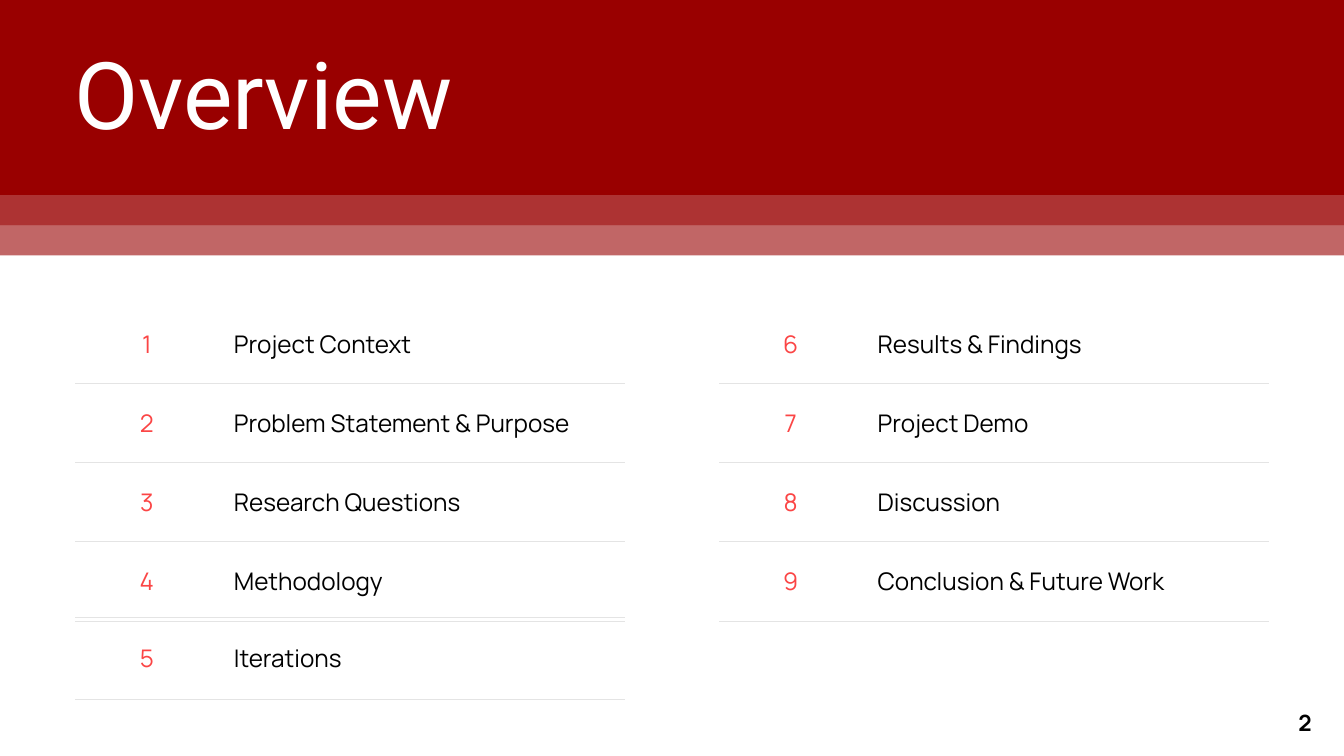
from lxml import etree
from pptx import Presentation
from pptx.dml.color import RGBColor
from pptx.enum.shapes import MSO_SHAPE
from pptx.enum.text import MSO_ANCHOR, PP_ALIGN
from pptx.oxml.ns import qn
from pptx.util import Inches, Pt

RECTANGLE = MSO_SHAPE.RECTANGLE
MIDDLE = MSO_ANCHOR.MIDDLE
LEFT, CENTER = PP_ALIGN.LEFT, PP_ALIGN.CENTER


def color(hex_string):
    return RGBColor.from_string(hex_string)


def write(frame, text, font, size, hex_string, align, spacing, bold=False):
    frame.text = text
    paragraph = frame.paragraphs[0]
    paragraph.alignment = align
    paragraph.line_spacing = Pt(spacing)
    for run in paragraph.runs:
        run.font.name = font
        run.font.size = Pt(size)
        run.font.bold = bold
        run.font.color.rgb = color(hex_string)


prs = Presentation()
prs.slide_width, prs.slide_height = Inches(20), Inches(11.25)
slide = prs.slides.add_slide(prs.slide_layouts[6])

for top, height, opacity in [(0, 2.9, 100), (2.9, 0.45, 80), (3.35, 0.45, 60)]:
    band = slide.shapes.add_shape(RECTANGLE, 0, Inches(top), Inches(20), Inches(height))
    band.shadow.inherit = False
    band.line.fill.background()
    band.fill.solid()
    band.fill.fore_color.rgb = color("990000")
    if opacity < 100:
        srgb = band.fill._xPr.find(".//" + qn("a:srgbClr"))
        etree.SubElement(srgb, qn("a:alpha"), val=str(opacity * 1000))

title = slide.shapes.add_textbox(0, Inches(0.82), Inches(7.84), Inches(1.45)).text_frame
title.margin_left = title.margin_right = title.margin_top = title.margin_bottom = 0
title.word_wrap = True
write(title, "Overview", "Roboto", 100, "FFFFFF", CENTER, 100)

agenda = [
    (1.12, 4.52, 1.18, False, [
        ("1", "Project Context"),
        ("2", "Problem Statement & Purpose"),
        ("3", "Research Questions"),
        ("4", "Methodology"),
        ("", ""),
    ]),
    (10.7, 4.52, 1.18, False, [
        ("6", "Results & Findings"),
        ("7", "Project Demo"),
        ("8", "Discussion"),
        ("9", "Conclusion & Future Work"),
    ]),
    (1.12, 9.19, 1.21, True, [("5", "Iterations")]),
]

for left, top, row_height, top_rule, topics in agenda:
    table = slide.shapes.add_table(
        len(topics), 2, Inches(left), Inches(top), Inches(8.18), Inches(row_height * len(topics))
    ).table
    table.first_row = table.horz_banding = False
    table.columns[0].width, table.columns[1].width = Inches(2.13), Inches(6.05)
    for r, topic in enumerate(topics):
        table.rows[r].height = Inches(row_height)
        ruled = {"a:lnT": r > 0 or top_rule, "a:lnB": topic[0] != ""}
        for c, (text, hex_string, align) in enumerate(
            zip(topic, ("FB4545", "000000"), (CENTER, LEFT))
        ):
            cell = table.cell(r, c)
            cell.vertical_anchor = MIDDLE
            cell.margin_left = cell.margin_right = Inches(0.23)
            cell.margin_top = cell.margin_bottom = Inches(0.23)
            write(cell.text_frame, text, "Manrope", 26, hex_string, align, 36.4)
            cell.fill.background()
            properties = cell._tc.get_or_add_tcPr()
            for position, side in enumerate(("a:lnL", "a:lnR", "a:lnT", "a:lnB")):
                border = etree.Element(qn(side), w=str(Pt(0.75) if ruled.get(side) else 0))
                if ruled.get(side):
                    fill = etree.SubElement(border, qn("a:solidFill"))
                    etree.SubElement(fill, qn("a:srgbClr"), val="E4E4E4")
                else:
                    etree.SubElement(border, qn("a:noFill"))
                properties.insert(position, border)

page_number = slide.shapes.add_textbox(
    Inches(19.17), Inches(10.4), Inches(0.5), Inches(0.57)
).text_frame
page_number.word_wrap = True
write(page_number, "2", "Manrope", 24, "000000", CENTER, 36.4, bold=True)

prs.save("out.pptx")
